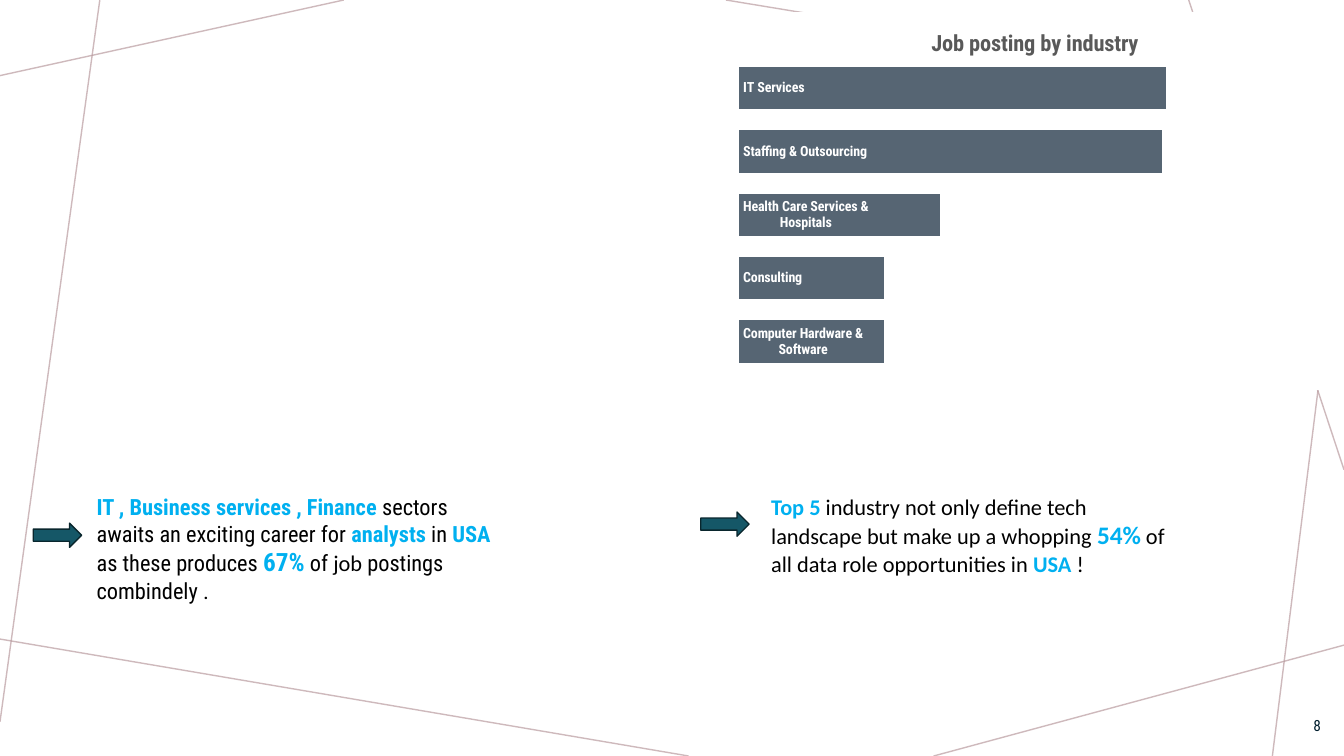
from lxml.etree import SubElement
from pptx import Presentation
from pptx.chart.data import CategoryChartData
from pptx.dml.color import RGBColor
from pptx.enum.chart import XL_CHART_TYPE, XL_LABEL_POSITION
from pptx.enum.shapes import MSO_CONNECTOR, MSO_SHAPE
from pptx.enum.text import MSO_ANCHOR, PP_ALIGN
from pptx.oxml import parse_xml
from pptx.oxml.ns import nsdecls, qn
from pptx.util import Inches, Pt

BLACK = RGBColor(0x00, 0x00, 0x00)
WHITE = RGBColor(0xFF, 0xFF, 0xFF)
NAVY = RGBColor(0x00, 0x1E, 0x2E)
SKY = RGBColor(0x00, 0xB0, 0xF0)
SLATE = RGBColor(0x56, 0x65, 0x73)
TITLE_GRAY = RGBColor(0x59, 0x59, 0x59)
TEAL = RGBColor(0x15, 0x57, 0x67)
DARK_TEAL = RGBColor(0x09, 0x26, 0x2D)
MAUVE = RGBColor(0xBA, 0x9C, 0xA0)

ROBOTO = "Roboto Condensed"
CALIBRI = "Calibri"

BACKGROUND_LINES = [
    (3.41, 0, 0, 0.75), (0.99, 0, 0, 7.16), (6.83, 7.5, 0, 6.34),
    (13.33, 6.4, 9.26, 7.5), (13.33, 1.8, 12.62, 7.5),
    (13.33, 4.66, 11.79, 0), (13.33, 1.01, 7.2, 0),
]
INDUSTRIES = [
    ("Computer Hardware & Software", 34), ("Consulting", 34),
    ("Health Care Services & Hospitals", 47),
    ("Staffing & Outsourcing", 99), ("IT Services", 100),
]
# Each run: text, size, highlighted, font
SECTOR_RUNS = [
    ("IT , Business services , Finance ", 16, True, ROBOTO),
    ("sectors awaits an exciting career for ", 16, False, ROBOTO),
    ("analysts", 16, True, ROBOTO),
    (" in ", 16, False, ROBOTO),
    ("USA", 16, True, ROBOTO),
    (" as these produces ", 16, False, ROBOTO),
    ("67%", 18, True, ROBOTO),
    (" of ", 16, False, ROBOTO),
    ("job", 16, False, CALIBRI),
    (" postings combindely .", 16, False, ROBOTO),
]
INDUSTRY_RUNS = [
    ("Top 5", 16, True, CALIBRI),
    (" industry not only define tech landscape but make up a whopping ",
     16, False, CALIBRI),
    ("54%", 18, True, CALIBRI),
    (" of all data role opportunities in ", 16, False, CALIBRI),
    ("USA", 16, True, CALIBRI),
    (" !", 16, False, CALIBRI),
]


def style_font(font, name, size, color, bold=False):
    font.name, font.size, font.bold = name, Pt(size), bold
    font.color.rgb = color


def add_background_lines(s):
    for ends in BACKGROUND_LINES:
        line = s.shapes.add_connector(MSO_CONNECTOR.STRAIGHT, *map(Inches, ends))
        line.line.color.rgb = MAUVE
        line.line.width = Pt(1)
        color = line.line._ln.find(".//" + qn("a:srgbClr"))
        SubElement(color, qn("a:alpha"), val="70000")
        SubElement(line._element.spPr, qn("a:effectLst"))


def set_plot_layout(chart, x, y, w, h):
    """Fix the inner plot area as fractions of the chart."""
    plot_area = chart._chartSpace.chart.plotArea
    for layout in plot_area.findall(qn("c:layout")):
        plot_area.remove(layout)
    layout = parse_xml(
        f'<c:layout {nsdecls("c")}><c:manualLayout><c:layoutTarget val="inner"/>'
        '<c:xMode val="edge"/><c:yMode val="edge"/>'
        f'<c:x val="{x}"/><c:y val="{y}"/><c:w val="{w}"/><c:h val="{h}"/>'
        '</c:manualLayout></c:layout>')
    plot_area.insert(0, layout)


def fill_chart_area(chart, color):
    chart._chartSpace.chart.addnext(parse_xml(
        f'<c:spPr {nsdecls("c", "a")}><a:solidFill><a:srgbClr val="{color}"/>'
        '</a:solidFill><a:ln><a:noFill/></a:ln></c:spPr>'))


def add_industry_chart(s, left, top, width, height):
    data = CategoryChartData()
    data.categories = [name for name, _ in INDUSTRIES]
    for series_name in ("Series 1", "Series 2"):
        data.add_series(series_name, [value for _, value in INDUSTRIES])
    chart = s.shapes.add_chart(
        XL_CHART_TYPE.BAR_CLUSTERED, Inches(left), Inches(top),
        Inches(width), Inches(height), data).chart
    style_font(chart.font, ROBOTO, 10, BLACK)
    chart.has_legend = False
    fill_chart_area(chart, WHITE)
    set_plot_layout(chart, 0.023, 0.117, 0.746, 0.839)

    chart.has_title = True
    tf = chart.chart_title.text_frame
    tf.text = "Job posting by industry"
    style_font(tf.paragraphs[0].runs[0].font, ROBOTO, 16, TITLE_GRAY, True)

    for axis in (chart.category_axis, chart.value_axis):
        axis.has_major_gridlines = False
        axis.visible = False
    chart.value_axis.minimum_scale = 0
    chart.value_axis.maximum_scale = 108.3

    plot = chart.plots[0]
    plot.gap_width, plot.overlap = 50, 100
    plot.vary_by_categories = False
    for series in plot.series:
        series.format.fill.solid()
        series.format.fill.fore_color.rgb = SLATE
    labels = plot.series[1].data_labels
    labels.show_value = False
    labels.show_category_name = True
    labels.position = XL_LABEL_POSITION.INSIDE_BASE
    style_font(labels.font, ROBOTO, 10, WHITE, True)


def add_takeaway(s, left, top, arrow_left, arrow_top, runs):
    """Place a paragraph at left, top, with an arrow pointing to it."""
    arrow = s.shapes.add_shape(
        MSO_SHAPE.RIGHT_ARROW, Inches(arrow_left), Inches(arrow_top),
        Inches(0.48), Inches(0.24))
    arrow.shadow.inherit = False
    arrow.fill.solid()
    arrow.fill.fore_color.rgb = TEAL
    arrow.line.color.rgb = DARK_TEAL
    arrow.line.width = Pt(1)

    tf = s.shapes.add_textbox(
        Inches(left), Inches(top), Inches(4.18), Inches(0.94)).text_frame
    tf.word_wrap = True
    p = tf.paragraphs[0]
    for text, size, highlighted, font in runs:
        r = p.add_run()
        r.text = text
        style_font(r.font, font, size, SKY if highlighted else BLACK, highlighted)


def add_page_number(s, left, top, width, height):
    tf = s.shapes.add_textbox(
        Inches(left), Inches(top), Inches(width), Inches(height)).text_frame
    tf.word_wrap = True
    tf.vertical_anchor = MSO_ANCHOR.MIDDLE
    tf.text = "8"
    p = tf.paragraphs[0]
    p.alignment = PP_ALIGN.RIGHT
    style_font(p.runs[0].font, ROBOTO, 11, NAVY)


def main():
    prs = Presentation()
    prs.slide_width, prs.slide_height = Inches(13.33), Inches(7.5)
    s = prs.slides.add_slide(prs.slide_layouts[6])
    add_background_lines(s)
    add_page_number(s, 12.69, 7, 0.51, 0.4)
    add_industry_chart(s, 7.19, 0.12, 6.15, 3.75)
    add_takeaway(s, 0.86, 4.84, 0.33, 5.19, SECTOR_RUNS)
    add_takeaway(s, 7.55, 4.84, 6.95, 5.08, INDUSTRY_RUNS)
    prs.save("out.pptx")


if __name__ == "__main__":
    main()
